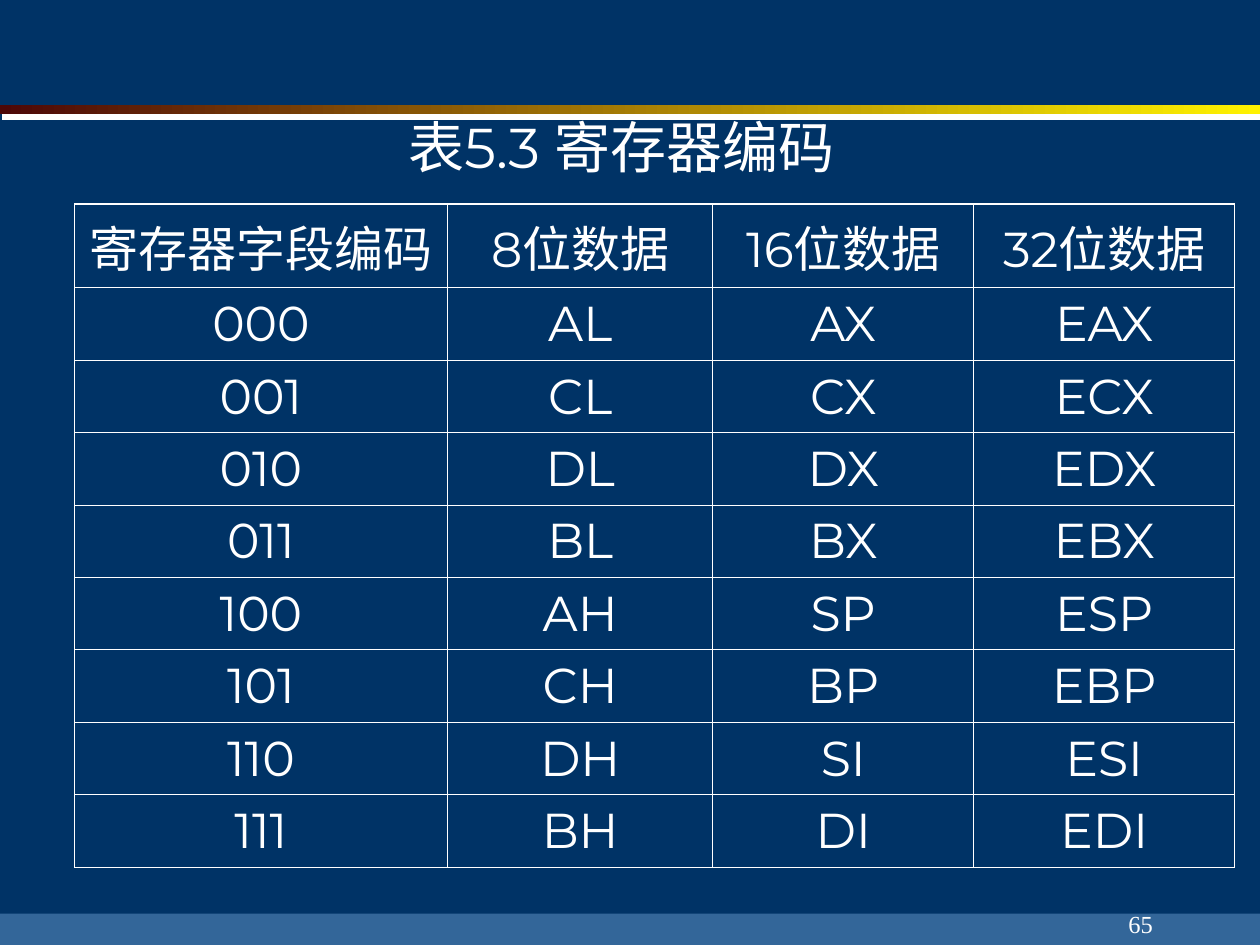
from lxml.etree import SubElement
from pptx import Presentation
from pptx.dml.color import RGBColor
from pptx.enum.shapes import MSO_SHAPE
from pptx.enum.text import MSO_ANCHOR, MSO_AUTO_SIZE, PP_ALIGN
from pptx.oxml.ns import qn
from pptx.util import Cm, Pt

NAVY = RGBColor(0x00, 0x33, 0x66)
STEEL = RGBColor(0x33, 0x66, 0x99)
MAROON = RGBColor(0x4D, 0x08, 0x08)
YELLOW = RGBColor(0xFF, 0xF2, 0x00)
WHITE = RGBColor(0xFF, 0xFF, 0xFF)
THIN, THICK = Pt(0.45), Pt(1.08)


def format_text(paragraph, size, alignment, font_name="Montserrat"):
    paragraph.alignment = alignment
    paragraph.font.size = Pt(size)
    paragraph.font.name = font_name
    paragraph.font.color.rgb = WHITE


def add_border(cell, side, width):
    border = SubElement(cell._tc.get_or_add_tcPr(), qn(f"a:{side}"), w=str(width))
    fill = SubElement(border, qn("a:solidFill"))
    SubElement(fill, qn("a:srgbClr"), val=str(WHITE))


presentation = Presentation()
presentation.slide_width = Cm(25.4)
presentation.slide_height = Cm(19.05)
slide = presentation.slides.add_slide(presentation.slide_layouts[5])
slide.background.fill.solid()
slide.background.fill.fore_color.rgb = NAVY

# Footer band
footer = slide.shapes.add_shape(MSO_SHAPE.RECTANGLE, 0, Cm(18.42), Cm(25.4), Cm(0.63))
footer.shadow.inherit = False
footer.fill.solid()
footer.fill.fore_color.rgb = STEEL
footer.line.fill.background()

# Gradient rule with a hard white shadow
rule = slide.shapes.add_shape(MSO_SHAPE.RECTANGLE, 0, Cm(2.11), Cm(25.4), Cm(0.2))
rule.line.fill.background()
rule.fill.gradient()
rule.fill.gradient_angle = 0
for stop, color in zip(rule.fill.gradient_stops, (MAROON, YELLOW)):
    stop.color.rgb = color
rule.shadow.inherit = False
effects = rule._element.spPr.find(qn("a:effectLst"))
shadow = SubElement(effects, qn("a:outerShdw"), dist=str(Pt(3.2)),
                    dir=str(72 * 60000), algn="ctr", rotWithShape="0")
SubElement(shadow, qn("a:srgbClr"), val=str(WHITE))

# Table caption, in front of the rule
caption = slide.shapes.title
slide.shapes._spTree.append(caption._element)
caption.left, caption.top, caption.width, caption.height = Cm(0.89), Cm(2.13), Cm(23.29), Cm(1.63)
caption.text_frame.text = "表5.3 寄存器编码"
caption.text_frame.auto_size = MSO_AUTO_SIZE.NONE
caption.text_frame.vertical_anchor = MSO_ANCHOR.MIDDLE
format_text(caption.text_frame.paragraphs[0], 32, PP_ALIGN.CENTER)

# Register table
rows = [
    ("寄存器字段编码", "8位数据", "16位数据", "32位数据"),
    ("000", "AL", "AX", "EAX"),
    ("001", "CL", "CX", "ECX"),
    ("010", "DL", "DX", "EDX"),
    ("011", "BL", "BX", "EBX"),
    ("100", "AH", "SP", "ESP"),
    ("101", "CH", "BP", "EBP"),
    ("110", "DH", "SI", "ESI"),
    ("111", "BH", "DI", "EDI"),
]
column_widths = [Cm(7.52), Cm(5.35), Cm(5.26), Cm(5.26)]
row_heights = [Cm(1.69)] + [Cm(1.46)] * (len(rows) - 1)
registers = slide.shapes.add_table(len(rows), len(column_widths), Cm(1.5), Cm(4.11),
                                   sum(column_widths), sum(row_heights)).table
registers.first_row = False
registers.horz_banding = False
for column, width in zip(registers.columns, column_widths):
    column.width = width
for row, height in zip(registers.rows, row_heights):
    row.height = height

for row_index, entries in enumerate(rows):
    for column_index, entry in enumerate(entries):
        cell = registers.cell(row_index, column_index)
        cell.text = entry
        cell.vertical_anchor = MSO_ANCHOR.MIDDLE
        format_text(cell.text_frame.paragraphs[0], 28, PP_ALIGN.CENTER)
        is_last_column = column_index == len(entries) - 1
        add_border(cell, "lnL", THIN)
        add_border(cell, "lnR", THICK if is_last_column else THIN)
        add_border(cell, "lnT", THICK if row_index == 0 else THIN)
        add_border(cell, "lnB", THIN)
        cell.fill.background()

# Page number
page_number = slide.shapes.add_textbox(Cm(18.21), Cm(17.78), Cm(5.28), Cm(1.27)).text_frame
page_number.word_wrap = True
page_number.vertical_anchor = MSO_ANCHOR.BOTTOM
page_number.text = "65"
format_text(page_number.paragraphs[0], 14, PP_ALIGN.RIGHT, "Times New Roman")

presentation.save("out.pptx")
